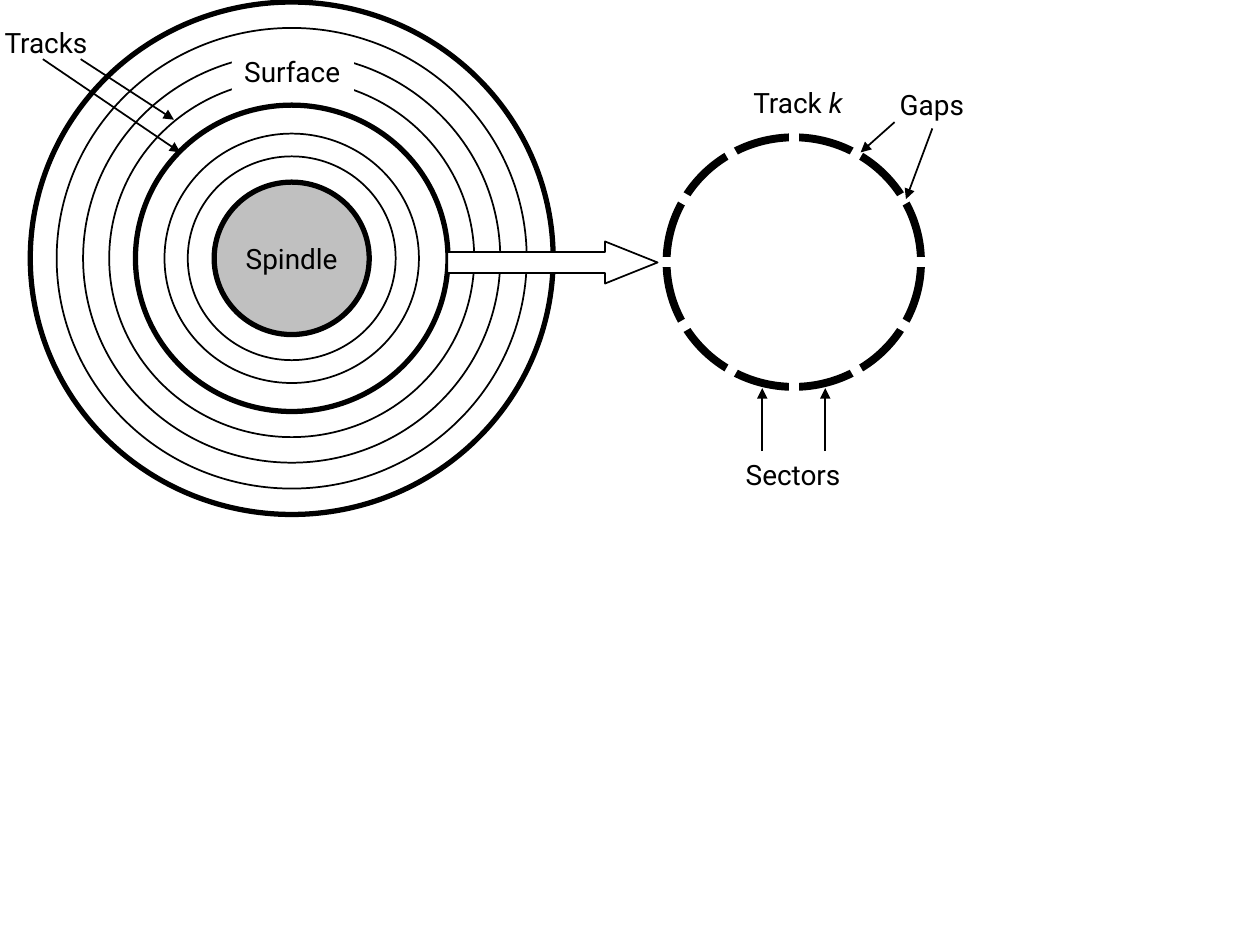
import math
import pptx
import pptx.dml.color
import pptx.enum.shapes
import pptx.enum.text
import pptx.oxml
import pptx.oxml.ns
import pptx.util

Pt = pptx.util.Pt
SHAPES = pptx.enum.shapes.MSO_SHAPE
ALIGN = pptx.enum.text.PP_ALIGN
ANCHOR = pptx.enum.text.MSO_ANCHOR
BLACK, WHITE, GREY = "000000", "FFFFFF", "C0C0C0"


def color(hex_code):
    return pptx.dml.color.RGBColor.from_string(hex_code)


def add_figure(slide, preset, left, top, width, height, fill=None, weight=None):
    figure = slide.shapes.add_shape(preset, Pt(left), Pt(top), Pt(width), Pt(height))
    figure.shadow.inherit = False
    if fill:
        figure.fill.solid()
        figure.fill.fore_color.rgb = color(fill)
    else:
        figure.fill.background()
    if weight:
        figure.line.color.rgb = color(BLACK)
        figure.line.width = Pt(weight)
    else:
        figure.line.fill.background()
    return figure


def add_circle(slide, center, width, height, weight, fill=None):
    x, y = center
    return add_figure(slide, SHAPES.OVAL, x - width / 2, y - height / 2,
                      width, height, fill, weight)


def set_label(holder, words, align=ALIGN.CENTER, anchor=ANCHOR.MIDDLE):
    frame = holder.text_frame
    frame.word_wrap = False
    frame.vertical_anchor = anchor
    paragraph = frame.paragraphs[0]
    paragraph.text = words
    paragraph.alignment = align
    for run in paragraph.runs:
        run.font.name = "Roboto"
        run.font.size = Pt(16)
        run.font.color.rgb = color(BLACK)
    return paragraph


def add_label(slide, words, left, top, width, **layout):
    box = slide.shapes.add_textbox(Pt(left), Pt(top), Pt(width), Pt(26.6))
    paragraph = set_label(box, words, **layout)
    box.text_frame.auto_size = pptx.enum.text.MSO_AUTO_SIZE.SHAPE_TO_FIT_TEXT
    return paragraph


def add_line(slide, start, end, hex_code=BLACK, weight=1, arrow=True):
    line = slide.shapes.add_connector(
        pptx.enum.shapes.MSO_CONNECTOR.STRAIGHT, *map(Pt, start + end))
    line.line.color.rgb = color(hex_code)
    line.line.width = Pt(weight)
    if arrow:
        tip = pptx.oxml.parse_xml(
            f'<a:tailEnd {pptx.oxml.ns.nsdecls("a")} type="triangle"/>')
        line.line._get_or_add_ln().append(tip)
    line._element.spPr.append(
        pptx.oxml.parse_xml(f'<a:effectLst {pptx.oxml.ns.nsdecls("a")}/>'))


def draw_platter(slide):
    center = (166.7, 147.6)
    tracks = [(298.8, 3), (268.6, 1), (238.4, 1), (208.6, 1),
              (178.6, 3), (145.4, 1), (118.8, 1)]
    for diameter, weight in tracks:
        add_circle(slide, center, diameter, diameter * 0.98, weight)
    spindle = add_circle(slide, center, 88.6, 87.1, 3, GREY)
    set_label(spindle, "Spindle")
    surface = add_figure(slide, SHAPES.RECTANGLE, 132.5, 27.4, 69.8, 26.6, WHITE)
    set_label(surface, "Surface", ALIGN.LEFT, ANCHOR.TOP)
    add_line(slide, (24.5, 33.8), (103, 87.1))
    add_line(slide, (46.1, 33.8), (99.4, 68.4))
    add_label(slide, "Tracks", -5, 10.8, 62.6)


def draw_track(slide):
    center_x, center_y = 453.6, 149.8
    add_circle(slide, (center_x, center_y), 145.4, 142.6, 4.5)
    track_name = add_label(slide, "Track ", 423.4, 45.4, 67,
                           align=ALIGN.LEFT, anchor=ANCHOR.TOP)
    variable = track_name.add_run()
    variable.text = "k"
    variable.font.name = "Roboto"
    variable.font.size = Pt(16)
    variable.font.italic = True
    variable.font.color.rgb = color(BLACK)

    for step in range(12):
        angle = math.radians(30 * step)
        reach = 76 if step in (3, 9) else 83.5
        gap_end = (center_x + reach * math.cos(angle),
                   center_y + reach * math.sin(angle))
        add_line(slide, (center_x, center_y), gap_end, WHITE, 6, arrow=False)

    add_label(slide, "Sectors", 419, 257.8, 68.4)
    for sector_x in (435.6, 471.6):
        add_line(slide, (sector_x, 257.8), (sector_x, 221.8))


def draw_gap_callout(slide):
    add_label(slide, "Gaps", 506.2, 46.1, 52.6)
    add_line(slide, (511.2, 69.8), (491.8, 87.1))
    add_line(slide, (532.8, 73.4), (517.7, 113.8))


def draw_zoom_arrow(slide):
    zoom = add_figure(slide, SHAPES.RIGHT_ARROW, 255.6, 138, 120.2, 24, WHITE, 1)
    zoom.adjustments[0] = 0.5
    zoom.adjustments[1] = 1.25


def main():
    deck = pptx.Presentation()
    deck.slide_width, deck.slide_height = Pt(720), Pt(540)
    slide = deck.slides.add_slide(deck.slide_layouts[6])
    draw_platter(slide)
    draw_track(slide)
    draw_zoom_arrow(slide)
    draw_gap_callout(slide)
    deck.save("out.pptx")


if __name__ == "__main__":
    main()
